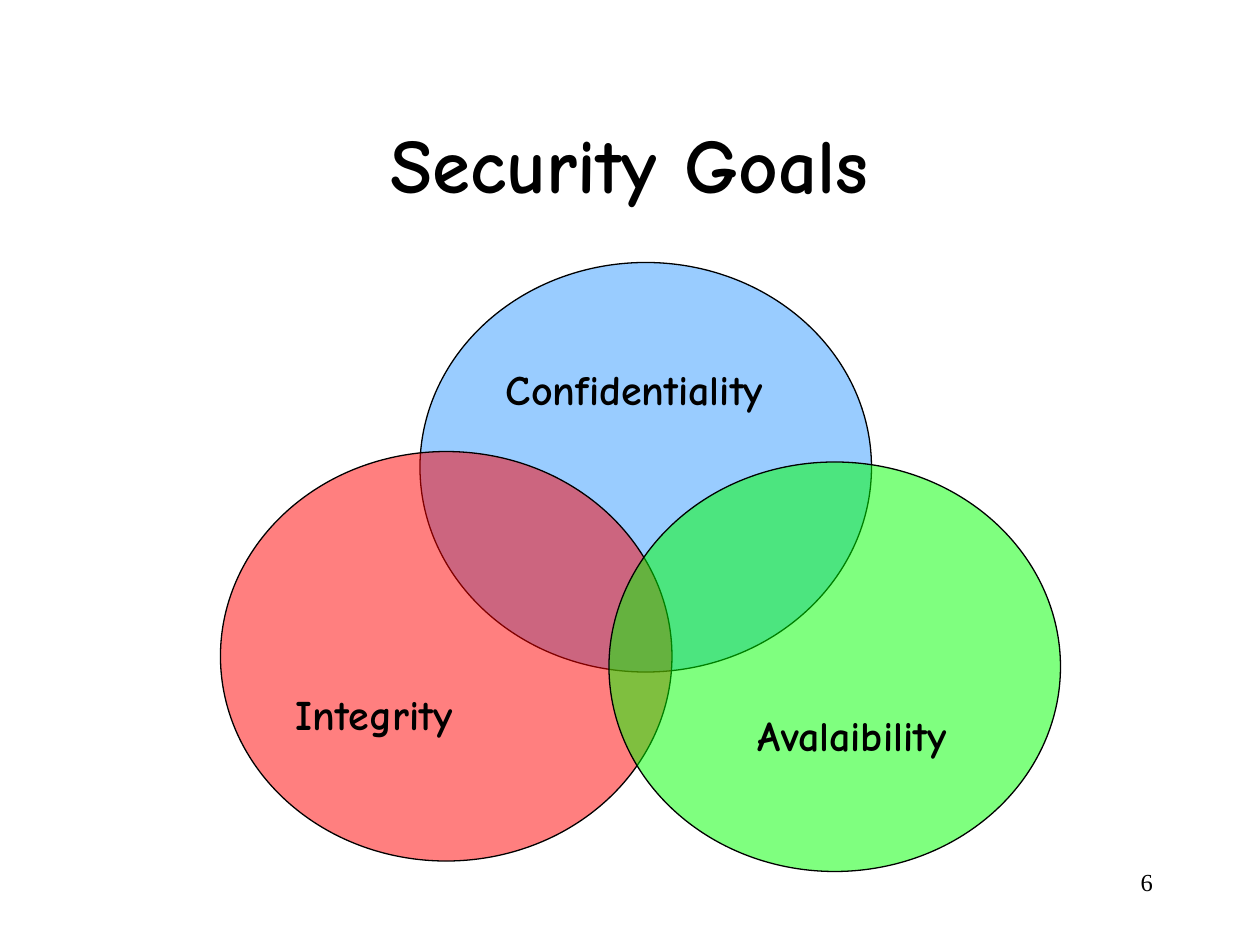
from lxml import etree
from pptx import Presentation
from pptx.dml.color import RGBColor
from pptx.enum import shapes, text
from pptx.oxml.ns import qn
from pptx.util import Pt

COLORS = {"ink": "000000", "blue": "99CCFF", "red": "FF0000", "green": "00FF00"}
HEAD = {"name": "Comic Neue", "size": Pt(44), "bold": True}
LABEL = {"name": "Comic Neue", "size": Pt(24), "bold": True}
NUMBER = {"name": "Times New Roman", "size": Pt(14), "bold": False}


def rgb(name):
    """Return the named colour."""
    return RGBColor.from_string(COLORS[name])


def write(sp, words, fmt, align, anchor):
    """Put one formatted line of text into a shape."""
    tf = sp.text_frame
    tf.word_wrap = True
    tf.auto_size = text.MSO_AUTO_SIZE.NONE
    tf.vertical_anchor = anchor
    p = tf.paragraphs[0]
    p.alignment = align
    r = p.add_run()
    r.text = words
    for key, value in fmt.items():
        setattr(r.font, key, value)
    r.font.color.rgb = rgb("ink")


prs = Presentation()
prs.slide_width, prs.slide_height = Pt(720), Pt(540)
s = prs.slides.add_slide(prs.slide_layouts[5])
al, anc = text.PP_ALIGN, text.MSO_ANCHOR

title = s.shapes.title
title.left, title.top, title.width, title.height = Pt(54), Pt(48), Pt(612), Pt(90)
write(title, "Security Goals", HEAD, al.CENTER, anc.MIDDLE)

# Overlapping circles: left, top, colour, opacity in percent
for left, top, color, opacity in [(240, 150, "blue", 100),
                                  (126, 258, "red", 50),
                                  (348, 264, "green", 50)]:
    sp = s.shapes.add_shape(shapes.MSO_SHAPE.OVAL, Pt(left), Pt(top), Pt(258), Pt(234))
    sp.shadow.inherit = False
    sp.fill.solid()
    sp.fill.fore_color.rgb = rgb(color)
    sp.line.color.rgb = rgb("ink")
    sp.line.width = Pt(0.74)
    if opacity < 100:
        clr = sp.fill._xPr.find(qn("a:solidFill"))[0]
        etree.SubElement(clr, qn("a:alpha")).set("val", str(opacity * 1000))

# Labels and slide number: left, top, width, words, format, alignment
for left, top, width, words, fmt, align in [
        (162, 390, 156, "Integrity", LABEL, al.LEFT),
        (282, 204, 192, "Confidentiality", LABEL, al.LEFT),
        (426, 402, 162, "Avalaibility", LABEL, al.LEFT),
        (516, 492, 150, "6", NUMBER, al.RIGHT)]:
    sp = s.shapes.add_textbox(Pt(left), Pt(top), Pt(width), Pt(36))
    write(sp, words, fmt, align, anc.TOP)

prs.save("out.pptx")
